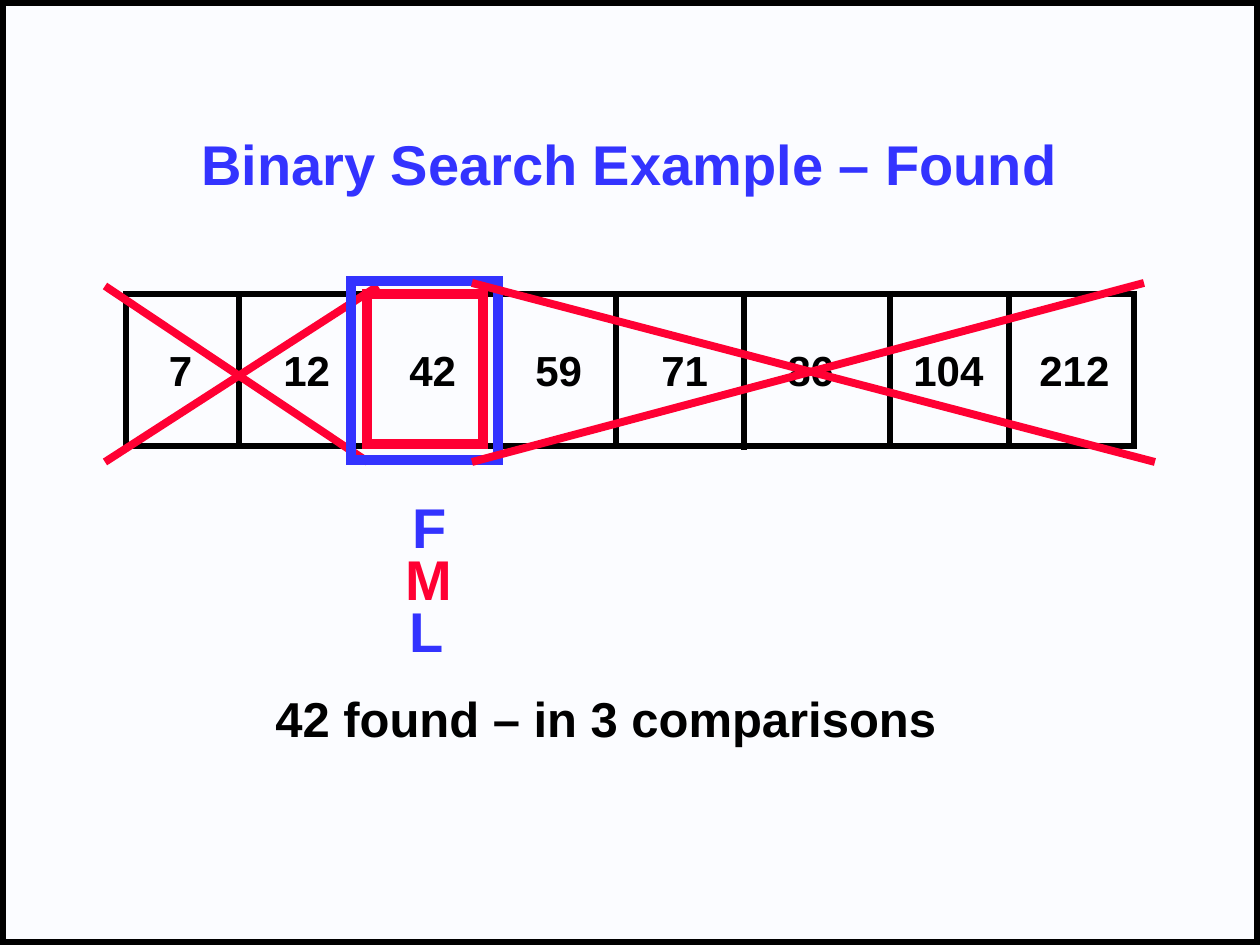
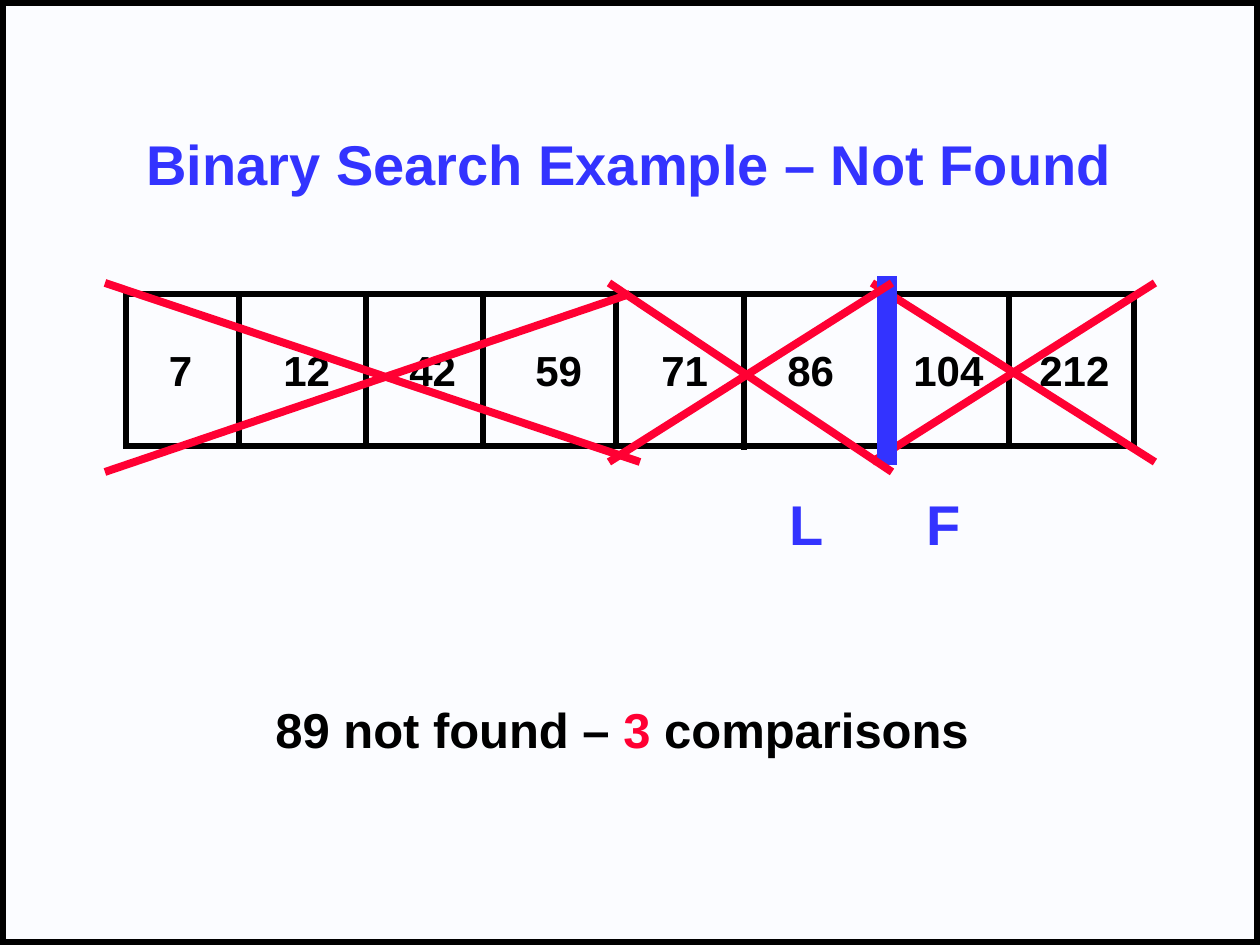
import pptx
import pptx.util
import pptx.dml.color
import pptx.enum.shapes
import pptx.enum.text
import pptx.oxml
import pptx.oxml.ns
from lxml import etree

PX = 914400 // 126
FONT = "Arial"
BLACK, BLUE, RED, PAPER = "000000", "3333FF", "FF0033", "FBFCFF"

FRAME = (3, 3, 1254, 939)
TITLE = (94, 84, 1071, 158)
ROW = (126, 294, 1008, 152)
VALUES = (7, 12, 42, 59, 71, 86, 104, 212)
# Cell borders: offset from the row's left, then top and bottom from its top
DIVIDERS = ((113, 2, 151), (240, -3, 152), (357, -3, 152), (490, 2, 151),
            (618, -2, 156), (764, -3, 155), (883, 0, 155))


def px(*lengths):
    return [pptx.util.Emu(length * PX) for length in lengths]


def color(hex_text):
    return pptx.dml.color.RGBColor.from_string(hex_text)


def add_tag(parent, tag, **attributes):
    return etree.SubElement(parent, pptx.oxml.ns.qn(tag), attributes)


def style_span(span, size, hex_text):
    span.font.name = FONT
    span.font.size = pptx.util.Pt(size)
    span.font.bold = True
    span.font.color.rgb = color(hex_text)


def outline(shapes, box, hex_text, width):
    """Add an unfilled rectangle with sharp corners."""
    rect = shapes.add_shape(pptx.enum.shapes.MSO_SHAPE.RECTANGLE, *px(*box))
    rect.shadow.inherit = False
    rect.fill.background()
    rect.line.color.rgb = color(hex_text)
    rect.line.width = pptx.util.Pt(width)
    border = rect.element.spPr.find(pptx.oxml.ns.qn("a:ln"))
    add_tag(border, "a:miter", lim="800000")
    return rect


def stroke(shapes, ends, hex_text, width):
    """Add a straight line through x1, y1, x2, y2."""
    line = shapes.add_connector(
        pptx.enum.shapes.MSO_CONNECTOR.STRAIGHT, *px(*ends))
    line.line.color.rgb = color(hex_text)
    line.line.width = pptx.util.Pt(width)
    add_tag(line.element.spPr, "a:effectLst")


def label(shapes, box, size, *parts):
    """Add one line of text from (wording, colour) parts."""
    text_box = shapes.add_textbox(*px(*box))
    frame = text_box.text_frame
    frame.word_wrap = True
    para = frame.paragraphs[0]
    for wording, hex_text in parts:
        span = para.add_run()
        span.text = wording
        style_span(span, size, hex_text)
    return para


def style_master(deck, page):
    """Give the master its background and black frame."""
    fill = deck.slide_master.background.fill
    fill.solid()
    fill.fore_color.rgb = color(PAPER)
    frame = outline(page.shapes, FRAME, BLACK, 3.75)
    deck.slide_master.shapes.element.append(frame.element)


def title(page, box, wording):
    holder = page.shapes.title
    holder.left, holder.top, holder.width, holder.height = px(*box)
    frame = holder.text_frame
    frame.text = wording
    frame.vertical_anchor = pptx.enum.text.MSO_ANCHOR.MIDDLE
    para = frame.paragraphs[0]
    para.alignment = pptx.enum.text.PP_ALIGN.CENTER
    style_span(para.runs[0], 32, BLUE)


def array_row(page, box):
    """Group the row's outline, cell borders and tabbed values."""
    left, top, width, height = box
    shapes = page.shapes.add_group_shape().shapes
    outline(shapes, box, BLACK, 3)
    for x, start, end in DIVIDERS:
        stroke(shapes, (left + x, top + start, left + x, top + end), BLACK, 3)
    wording = " " + "\t".join(str(value) for value in VALUES)
    para = label(shapes, (left + 19, top + 44, width, 63), 24,
                 (wording, BLACK))
    tabs = add_tag(para._p.get_or_add_pPr(), "a:tabLst")
    for stop in range(1, len(VALUES)):
        add_tag(tabs, "a:tab", pos=str(stop * 126 * PX), algn="l")


def cross(page, box, rise_start=0, rise_end=(0, 0), fall_end=0):
    """Strike out a box; the shifts move line ends off its corners."""
    left, top, width, height = box
    right, bottom = left + width, top + height
    shift_x, shift_y = rise_end
    rising = (right + shift_x, top + shift_y, left, bottom + rise_start)
    falling = (left, top, right, bottom + fall_end)
    for ends in (rising, falling):
        stroke(page.shapes, ends, RED, 4.5)


def pointer(page, left, top, letter, hex_text=BLUE):
    label(page.shapes, (left, top, 76, 81), 32, (letter, hex_text))


def caption(page, top, *parts):
    label(page.shapes, (263, top, 740, 72), 28, *parts)


def search_page(page, heading):
    title(page, TITLE, heading)
    array_row(page, ROW)


def found_page(page):
    search_page(page, "Binary Search Example – Found")
    caption(page, 682, ("42 found – in 3 comparisons", BLACK))
    # Found cell and struck-out left half
    outline(page.shapes, (367, 294, 116, 150), RED, 6)
    cross(page, (105, 286, 263, 176), rise_end=(10, 0))
    outline(page.shapes, (351, 281, 147, 179), BLUE, 6)
    # First, last and middle pointers
    pointer(page, 400, 486, "F")
    pointer(page, 397, 590, "L")
    pointer(page, 393, 538, "M", RED)
    cross(page, (472, 283, 683, 179), rise_end=(-11, 0))


def not_found_page(page):
    search_page(page, "Binary Search Example – Not Found")
    caption(page, 693, ("89 not found – ", BLACK), ("3", RED),
            (" comparisons", BLACK))
    pointer(page, 914, 483, "F")
    pointer(page, 777, 483, "L")
    # Struck-out parts around the gap marker
    cross(page, (872, 283, 283, 179))
    outline(page.shapes, (882, 281, 10, 179), BLUE, 6)
    cross(page, (105, 283, 535, 179), rise_start=10, rise_end=(-10, 11))
    cross(page, (609, 283, 283, 179), fall_end=10)


def main():
    deck = pptx.Presentation()
    deck.slide_width, deck.slide_height = px(1260, 945)
    title_only = deck.slide_layouts[5]
    pages = [deck.slides.add_slide(title_only) for _ in range(2)]
    style_master(deck, pages[0])
    found_page(pages[0])
    not_found_page(pages[1])
    deck.save("out.pptx")


if __name__ == "__main__":
    main()
